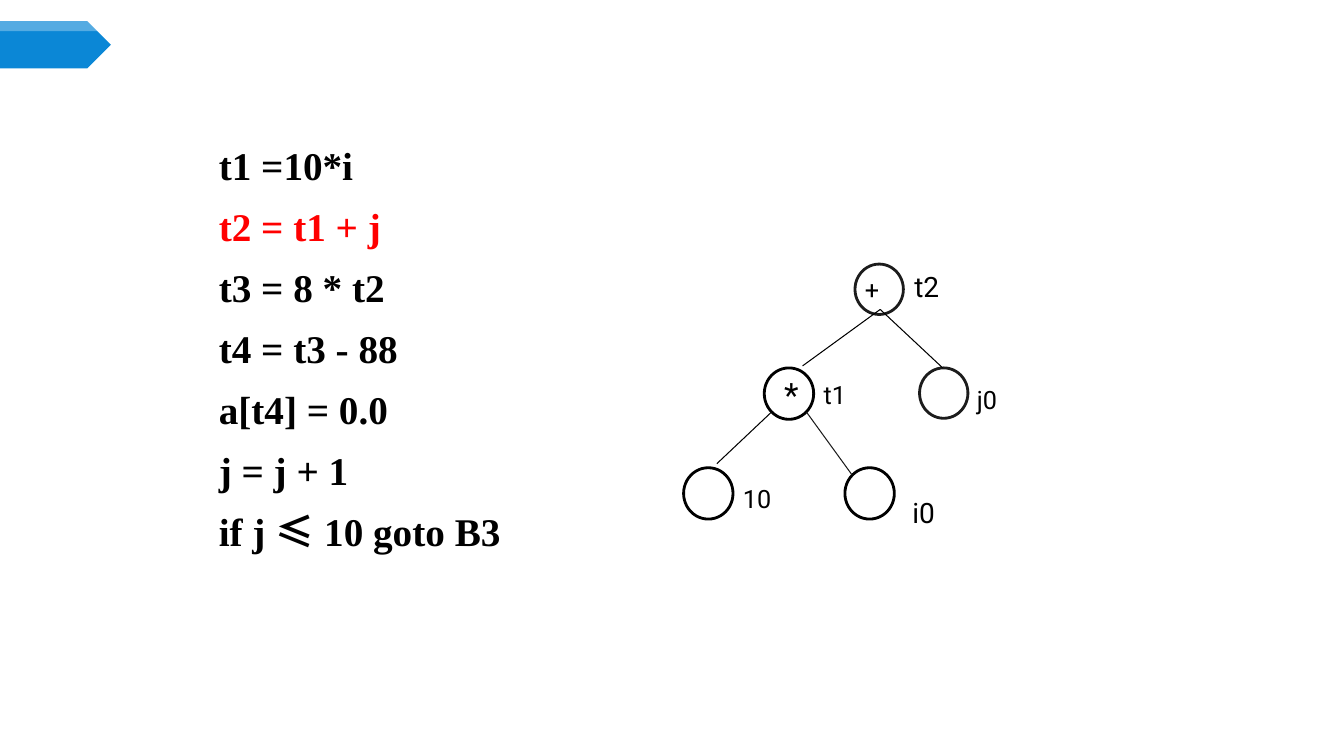
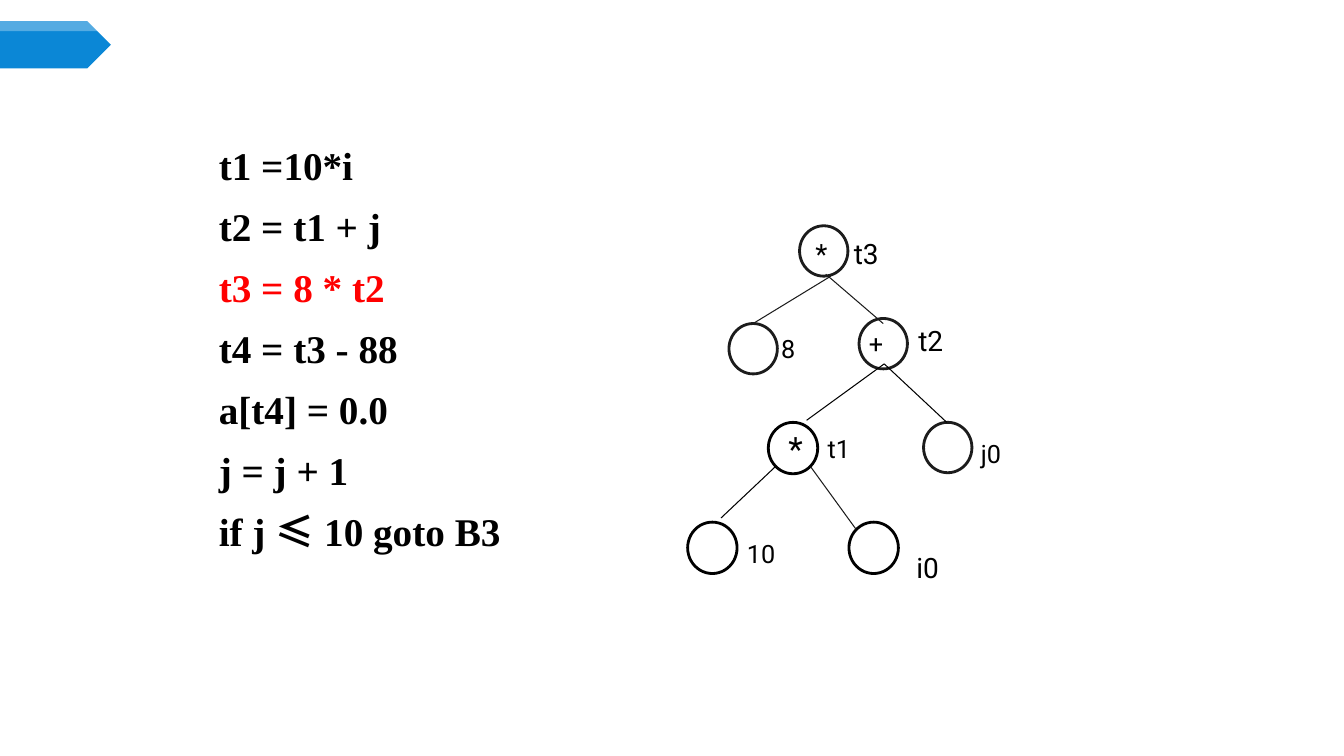
"""Build two slides that grow an expression tree beside three-address code."""
from lxml import etree
from pptx import Presentation
from pptx.dml.color import RGBColor
from pptx.enum.shapes import MSO_CONNECTOR, MSO_SHAPE
from pptx.enum.text import MSO_ANCHOR
from pptx.oxml.ns import qn
from pptx.util import Inches, Pt

OVAL = MSO_SHAPE.OVAL
PENTAGON = MSO_SHAPE.PENTAGON
STRAIGHT = MSO_CONNECTOR.STRAIGHT
TOP = MSO_ANCHOR.TOP

BLACK = RGBColor(0x00, 0x00, 0x00)
CHARCOAL = RGBColor(0x1C, 0x1C, 0x1C)
WHITE = RGBColor(0xFF, 0xFF, 0xFF)
RED = RGBColor(0xFF, 0x00, 0x00)
BLUE = RGBColor(0x0B, 0x87, 0xD6)

CODE_FONT = "Times New Roman"
SYMBOL_FONT = "Noto Sans CJK SC"
LABEL_FONT = "Roboto"

CODE = [
    "t1 =10*i",
    "t2 = t1 + j",
    "t3 = 8 * t2",
    "t4 = t3 - 88",
    "a[t4] = 0.0",
    "j = j + 1",
    "if j ≤ 10 goto B3",
]

NODE_SIZES = {BLACK: (0.49, 0.51), CHARCOAL: (0.48, 0.5)}

T2_TREE = {
    "nodes": [
        (6.78, 4.64, BLACK),
        (8.38, 4.64, BLACK),
        (7.58, 3.65, BLACK),
        (9.12, 3.65, CHARCOAL),
        (8.48, 2.62, CHARCOAL),
    ],
    "edges": [
        (7.65, 4.09, 7.11, 4.6, BLACK),
        (8, 4.09, 8.45, 4.71, CHARCOAL),
        (8.73, 3.07, 7.96, 3.63, BLACK),
        (8.73, 3.07, 9.35, 3.65, BLACK),
    ],
    "labels": [
        ("10", 7.27, 4.75, 0.51, 18),
        ("*", 7.68, 3.66, 0.3, 24),
        ("t1", 8.07, 3.71, 0.87, 18),
        ("i0", 8.95, 4.87, 0.81, 20),
        ("j0", 9.59, 3.76, 0.65, 18),
        ("+", 8.48, 2.67, 0.49, 18),
        ("t2", 8.97, 2.62, 0.47, 20),
    ],
}

T3_ROOT = {
    "nodes": [(7.23, 3.21, CHARCOAL), (7.93, 2.24, CHARCOAL)],
    "edges": [
        (8.24, 2.74, 7.47, 3.21, CHARCOAL),
        (8.19, 2.72, 8.76, 3.21, CHARCOAL),
    ],
    "labels": [
        ("8", 7.65, 3.26, 0.46, 18),
        ("*", 7.99, 2.3, 0.5, 20),
        ("t3", 8.37, 2.3, 0.53, 20),
    ],
}

STEPS = [
    ("t2", [(T2_TREE, 0, 0)]),
    ("t3", [(T2_TREE, 0.04, 0.54), (T3_ROOT, 0, 0)]),
]


def write_code(frame, target):
    """Write the code lines, with the one that assigns the target in red."""
    frame.vertical_anchor = TOP
    for number, line in enumerate(CODE):
        paragraph = frame.paragraphs[0] if number == 0 else frame.add_paragraph()
        properties = paragraph._p.get_or_add_pPr()
        properties.set("marL", str(Inches(1)))
        properties.set("indent", "0")
        etree.SubElement(properties, qn("a:buNone"))
        paragraph.line_spacing = Pt(38)
        paragraph.space_before = Pt(5.6 if number else 0)
        for piece in filter(None, line.partition("≤")):
            run = paragraph.add_run()
            run.text = piece
            run.font.size = Pt(28)
            run.font.bold = True
            run.font.color.rgb = RED if line.startswith(target) else BLACK
            run.font.name = SYMBOL_FONT if piece == "≤" else CODE_FONT
            if piece == "≤":
                east_asian = etree.SubElement(run.font._element, qn("a:ea"))
                east_asian.set("typeface", SYMBOL_FONT)


def draw_tree(shapes, tree, dx, dy):
    """Draw the nodes, edges and labels of a tree, shifted by dx and dy."""
    for x, y, color in tree["nodes"]:
        width, height = NODE_SIZES[color]
        node = shapes.add_shape(
            OVAL, Inches(x + dx), Inches(y + dy), Inches(width), Inches(height))
        node.shadow.inherit = False
        node.fill.solid()
        node.fill.fore_color.rgb = WHITE
        node.line.color.rgb = color
        node.line.width = Pt(2)
    for x1, y1, x2, y2, color in tree["edges"]:
        edge = shapes.add_connector(
            STRAIGHT, Inches(x1 + dx), Inches(y1 + dy), Inches(x2 + dx), Inches(y2 + dy))
        edge.line.color.rgb = color
        edge.line.width = Pt(0.75)
        etree.SubElement(edge._element.spPr, qn("a:effectLst"))
    for text, x, y, width, size in tree["labels"]:
        label = shapes.add_textbox(
            Inches(x + dx), Inches(y + dy), Inches(width), Inches(size / 50 + 0.04))
        label.text_frame.word_wrap = True
        label.text_frame.text = text
        font = label.text_frame.paragraphs[0].runs[0].font
        font.name = LABEL_FONT
        font.size = Pt(size)
        font.color.rgb = BLACK


prs = Presentation()
prs.slide_width = Inches(13.33)
prs.slide_height = Inches(7.5)

layout = prs.slide_layouts[1]
for placeholder in list(layout.placeholders):
    if placeholder.placeholder_format.idx != 1:
        placeholder.element.getparent().remove(placeholder.element)
code_area = layout.placeholders[0]
code_area.left, code_area.top = Inches(1.07), Inches(1.29)
code_area.width, code_area.height = Inches(8.98), Inches(5.34)

for target, trees in STEPS:
    slide = prs.slides.add_slide(layout)
    write_code(slide.placeholders[1].text_frame, target)
    for tree, dx, dy in trees:
        draw_tree(slide.shapes, tree, dx, dy)

band = slide.shapes.add_shape(PENTAGON, 0, Inches(0.21), Inches(1.1), Inches(0.47))
outline = slide.shapes.build_freeform(0, Inches(0.21))
outline.add_line_segments(
    [(Inches(0.87), Inches(0.21)), (Inches(0.97), Inches(0.31)), (0, Inches(0.31))])
highlight = outline.convert_to_shape()
for part, color in ((band, BLUE), (highlight, WHITE)):
    part.shadow.inherit = False
    part.fill.solid()
    part.fill.fore_color.rgb = color
    part.line.fill.background()
    layout.shapes.element.append(part.element)
tint = highlight.element.spPr.find(qn("a:solidFill"))[0]
etree.SubElement(tint, qn("a:alpha")).set("val", "30000")

prs.save("out.pptx")
